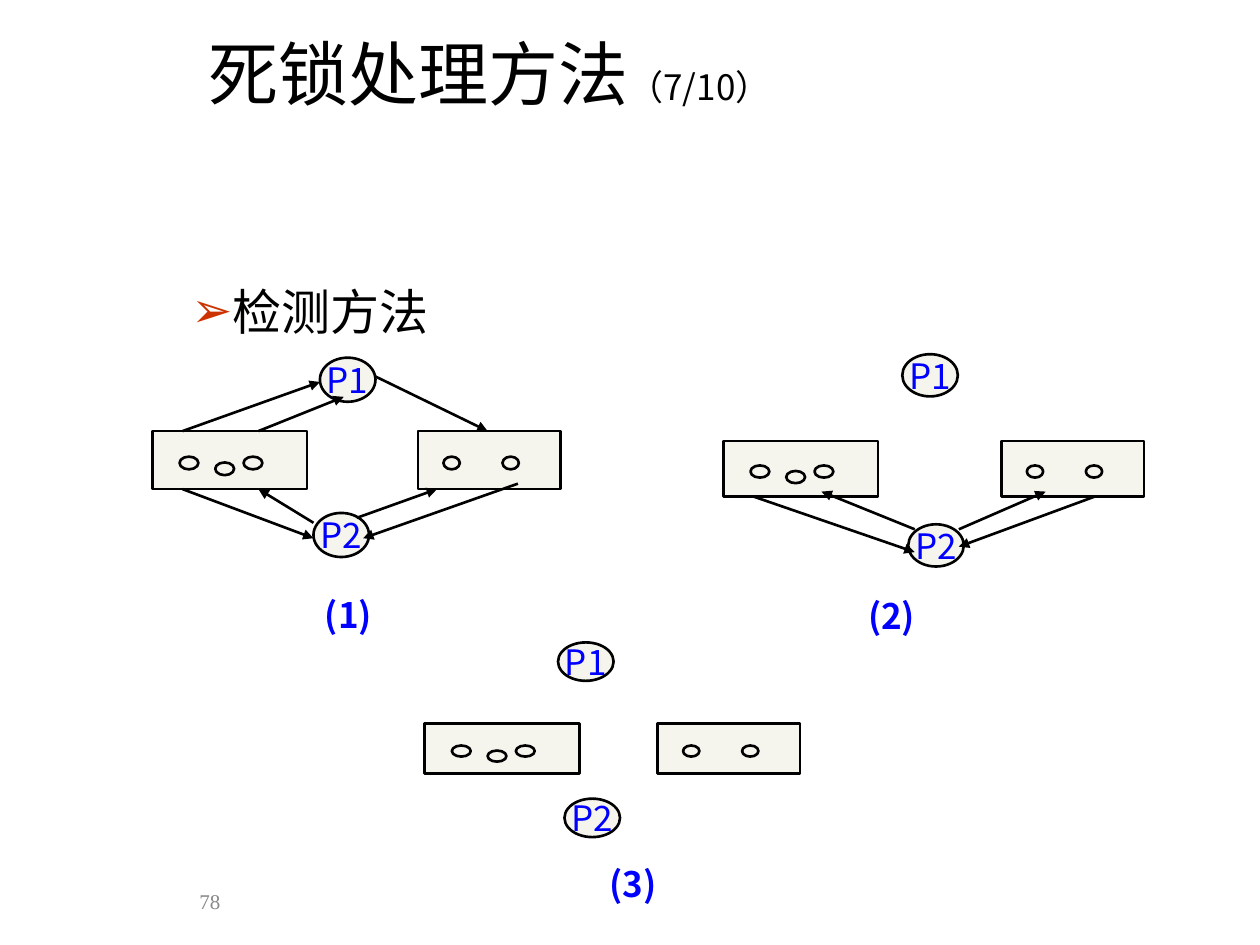
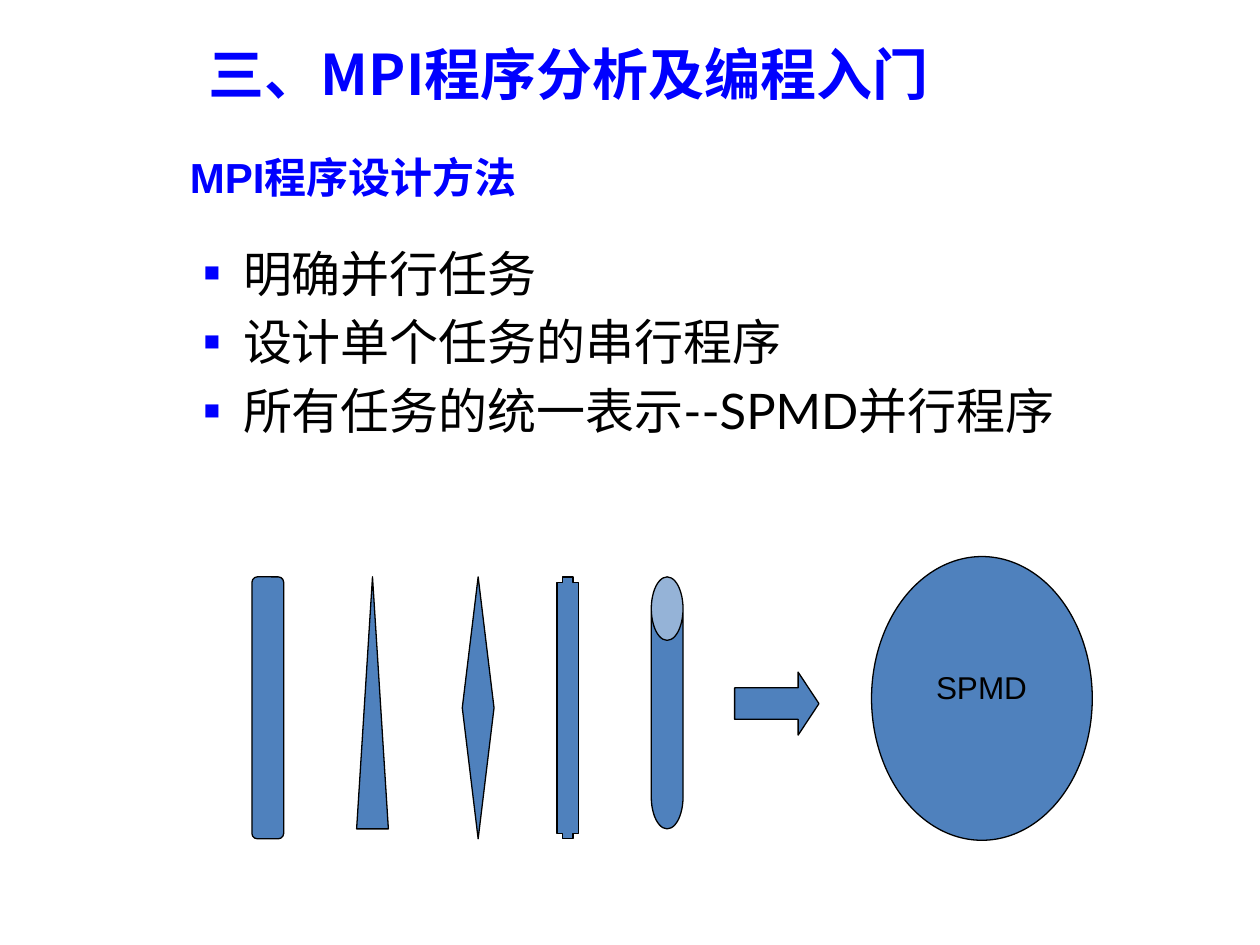
from dataclasses import dataclass
from typing import NamedTuple

from lxml import etree
from pptx import Presentation
from pptx import util as u
from pptx.dml import color
from pptx.enum import shapes, text
from pptx.oxml import ns

BLACK, BLUE, GREY = "000000", "0000FF", "898989"
IVORY, STEEL, RUST = "F5F4ED", "4F81BD", "CC3300"
CJK = "Noto Sans CJK SC"
KIND = shapes.MSO_SHAPE
MIDDLE, BOTTOM, TOP = (text.MSO_ANCHOR.MIDDLE, text.MSO_ANCHOR.BOTTOM,
                       text.MSO_ANCHOR.TOP)
CENTER = text.PP_ALIGN.CENTER


class Box(NamedTuple):
    """Left, top, width and height in centimetres."""
    left: float
    top: float
    width: float
    height: float

    def lengths(self) -> list:
        return [u.Cm(value) for value in self]


class Arrow(NamedTuple):
    start: tuple[float, float]
    end: tuple[float, float]


class Style(NamedTuple):
    size: float
    font: str = CJK
    colour: str = BLACK
    bold: bool = False


@dataclass
class Bullet:
    char: str
    colour: str
    size_percent: int = 100
    margin: float = 0
    indent: float = 0


@dataclass
class ResourceGraph:
    """Two resource boxes with their units, two processes and the edges."""
    label: str
    label_at: tuple[float, float]
    top: float
    box_height: float
    left_box: float
    right_box: float
    processes: dict[str, tuple[float, float]]
    arrows: list[Arrow]


@dataclass
class TaskShape:
    kind: shapes.MSO_SHAPE
    box: Box
    adjustments: tuple[float, ...] = ()


TITLE_BOX = Box(3.96, 0.46, 20.17, 2.01)
NODE_STYLE = Style(20, colour=BLUE)
LABEL_STYLE = Style(20, colour=BLUE, bold=True)

GRAPHS = [
    ResourceGraph("(1)", (6.3, 12.17), 8.69, 1.17, 3.07, 8.43,
                  {"P2": (6.32, 10.34), "P1": (6.45, 7.21)},
                  [Arrow((3.68, 8.69), (6.45, 7.7)),
                   Arrow((5.21, 8.69), (6.93, 8)),
                   Arrow((3.68, 9.86), (6.32, 10.85)),
                   Arrow((7.57, 7.59), (9.83, 8.69)),
                   Arrow((6.32, 10.54), (5.21, 9.86)),
                   Arrow((7.19, 10.44), (8.81, 9.86)),
                   Arrow((10.44, 9.75), (7.32, 10.85))]),
    ResourceGraph("(2)", (17.25, 12.19), 8.89, 1.12, 14.58, 20.19,
                  {"P1": (18.19, 7.14), "P2": (18.31, 10.57)},
                  [Arrow((15.19, 10.01), (18.44, 11.13)),
                   Arrow((18.44, 10.67), (16.56, 9.91)),
                   Arrow((19.33, 10.67), (21.08, 9.91)),
                   Arrow((22.07, 10.01), (19.33, 11.02))]),
    ResourceGraph("(3)", (12.04, 17.6), 14.58, 1.02, 8.56, 13.26,
                  {"P1": (11.25, 12.95), "P2": (11.38, 16.1)}, []),
]

TASK_TOP = 11.63
TASKS = [
    TaskShape(KIND.ROUNDED_RECTANGLE, Box(5.08, TASK_TOP, 0.64, 5.28), (0.17,)),
    TaskShape(KIND.ISOSCELES_TRIANGLE, Box(7.19, TASK_TOP, 0.64, 5.08)),
    TaskShape(KIND.DIAMOND, Box(9.32, TASK_TOP, 0.64, 5.28)),
    TaskShape(KIND.CROSS, Box(11.23, TASK_TOP, 0.43, 5.28), (0.25,)),
    TaskShape(KIND.CAN, Box(13.13, TASK_TOP, 0.64, 5.08), (2,)),
    TaskShape(KIND.RIGHT_ARROW, Box(14.81, 13.55, 1.7, 1.27), (0.5, 0.33)),
    TaskShape(KIND.OVAL, Box(17.57, 11.22, 4.45, 5.72)),
]


def rgb(value: str) -> color.RGBColor:
    return color.RGBColor.from_string(value)


def format_paragraph(paragraph, styles: list[Style]) -> None:
    """Give each run its style, for Latin and East Asian text alike."""
    for run, style in zip(paragraph.runs, styles):
        run.font.size = u.Pt(style.size)
        run.font.bold = style.bold
        run.font.color.rgb = rgb(style.colour)
        run.font.name = style.font
        east_asian = etree.SubElement(run.font._element, ns.qn("a:ea"))
        east_asian.set("typeface", style.font)


def add_bullet(paragraph, bullet: Bullet) -> None:
    properties = paragraph._p.get_or_add_pPr()
    properties.set("marL", str(u.Cm(bullet.margin)))
    properties.set("indent", str(u.Cm(bullet.indent)))
    fill = etree.SubElement(properties, ns.qn("a:buClr"))
    etree.SubElement(fill, ns.qn("a:srgbClr")).set("val", bullet.colour)
    for tag, name, value in (
            ("a:buSzPct", "val", str(bullet.size_percent * 1000)),
            ("a:buFont", "typeface", "Arial"),
            ("a:buChar", "char", bullet.char)):
        etree.SubElement(properties, ns.qn(tag)).set(name, value)


def add_text(slide, box: Box, lines: list[str], style: Style, anchor=TOP,
             wrap: bool = True):
    frame = slide.shapes.add_textbox(*box.lengths()).text_frame
    frame.word_wrap = wrap
    frame.vertical_anchor = anchor
    frame.text = "\n".join(lines)
    for paragraph in frame.paragraphs:
        format_paragraph(paragraph, [style])
    return frame


def add_shape(slide, kind, box: Box, fill: str, line_width: float):
    shape = slide.shapes.add_shape(kind, *box.lengths())
    shape.shadow.inherit = False
    shape.fill.solid()
    shape.fill.fore_color.rgb = rgb(fill)
    shape.line.color.rgb = rgb(BLACK)
    shape.line.width = u.Pt(line_width)
    return shape


def add_arrow(slide, arrow: Arrow) -> None:
    ends = [u.Cm(value) for value in (*arrow.start, *arrow.end)]
    connector = slide.shapes.add_connector(shapes.MSO_CONNECTOR.STRAIGHT, *ends)
    connector.line.color.rgb = rgb(BLACK)
    connector.line.width = u.Pt(1.5)
    line = connector.line._get_or_add_ln()
    etree.SubElement(line, ns.qn("a:tailEnd")).set("type", "triangle")
    etree.SubElement(connector._element.spPr, ns.qn("a:effectLst"))


def add_resource(slide, box: Box, unit_width: float,
                 units: list[tuple[float, float]]) -> None:
    """Units are left offsets in cm and top offsets as shares of the height."""
    add_shape(slide, KIND.RECTANGLE, box, IVORY, 1.5)
    for offset, share in units:
        unit = Box(box.left + offset, box.top + share * box.height,
                   unit_width, 0.22 * box.height)
        add_shape(slide, KIND.OVAL, unit, IVORY, 1.5)


def add_process(slide, name: str, box: Box) -> None:
    frame = add_shape(slide, KIND.OVAL, box, IVORY, 1.5).text_frame
    frame.text = name
    frame.word_wrap = False
    frame.vertical_anchor = MIDDLE
    frame.paragraphs[0].alignment = CENTER
    format_paragraph(frame.paragraphs[0], [NODE_STYLE])


def add_graph(slide, graph: ResourceGraph) -> None:
    height = graph.box_height
    for name, (left, top) in graph.processes.items():
        add_process(slide, name, Box(left, top, 1.12, 0.76 * height))
    add_resource(slide, Box(graph.left_box, graph.top, 3.12, height), 0.38,
                 [(0.55, 0.44), (1.27, 0.54), (1.84, 0.44)])
    add_resource(slide, Box(graph.right_box, graph.top, 2.87, height), 0.33,
                 [(0.51, 0.44), (1.7, 0.44)])
    for arrow in graph.arrows:
        add_arrow(slide, arrow)
    add_text(slide, Box(*graph.label_at, 1.57, 0.76), [graph.label],
             LABEL_STYLE, BOTTOM, wrap=False)


def build_deadlock_slide(slide) -> None:
    number = add_text(slide, Box(1.27, 17.65, 5.92, 1.02), ["78"],
                      Style(12, "Times New Roman", GREY), MIDDLE)
    number.paragraphs[0].alignment = CENTER
    for graph in GRAPHS:
        add_graph(slide, graph)
    title = add_text(slide, TITLE_BOX, ["死锁处理方法"], Style(40), MIDDLE)
    counter = title.paragraphs[0].add_run()
    counter.text = "（7/10）"
    format_paragraph(title.paragraphs[0], [Style(40), Style(20)])
    method = add_text(slide, Box(3.61, 4.95, 5.31, 2.06), ["检测方法"],
                      Style(28), wrap=False).paragraphs[0]
    method.line_spacing = 1.5
    add_bullet(method, Bullet("➢", RUST))


def build_mpi_slide(slide) -> None:
    add_text(slide, Box(3.58, 2.77, 17.27, 1.57), ["MPI程序设计方法"],
             Style(24, "Arial", BLUE, True), MIDDLE)
    steps = add_text(slide, Box(2.59, 4.78, 21.59, 13.84),
                     ["明确并行任务", "设计单个任务的串行程序",
                      "所有任务的统一表示--SPMD并行程序"], Style(28, "Lato"))
    for step in steps.paragraphs:
        step.space_before = u.Pt(5.6)
        add_bullet(step, Bullet("■", BLUE, 55, 2.06, -0.79))
    for task in TASKS:
        shape = add_shape(slide, task.kind, task.box, STEEL, 0.75)
        for index, value in enumerate(task.adjustments):
            shape.adjustments[index] = value
    add_text(slide, Box(18.62, 13.34, 2.62, 1.02), ["SPMD"], Style(18, "Arial"))
    add_text(slide, TITLE_BOX, ["三、MPI程序分析及编程入门"],
             Style(32, colour=BLUE, bold=True), MIDDLE)


def main() -> None:
    presentation = Presentation()
    presentation.slide_width = u.Cm(25.4)
    presentation.slide_height = u.Cm(19.05)
    blank = presentation.slide_layouts[6]
    for build in (build_deadlock_slide, build_mpi_slide):
        build(presentation.slides.add_slide(blank))
    presentation.save("out.pptx")


if __name__ == "__main__":
    main()
